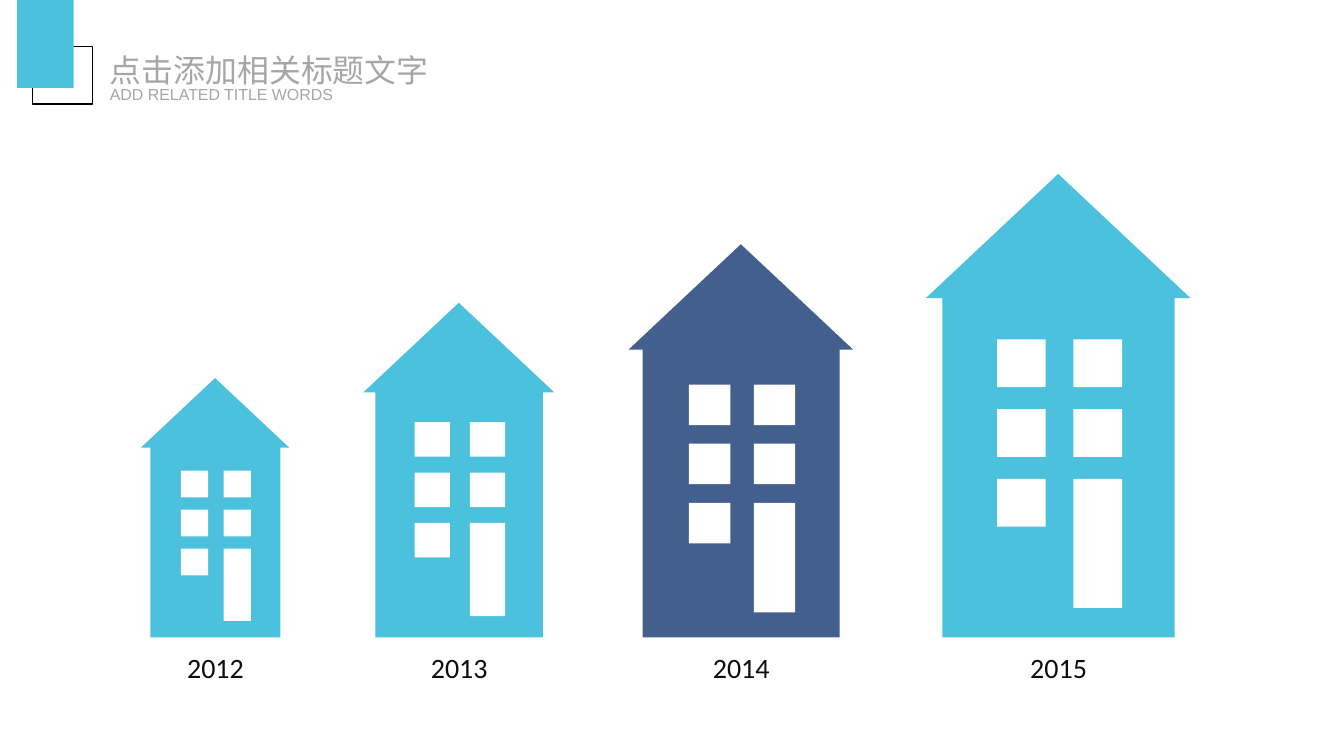
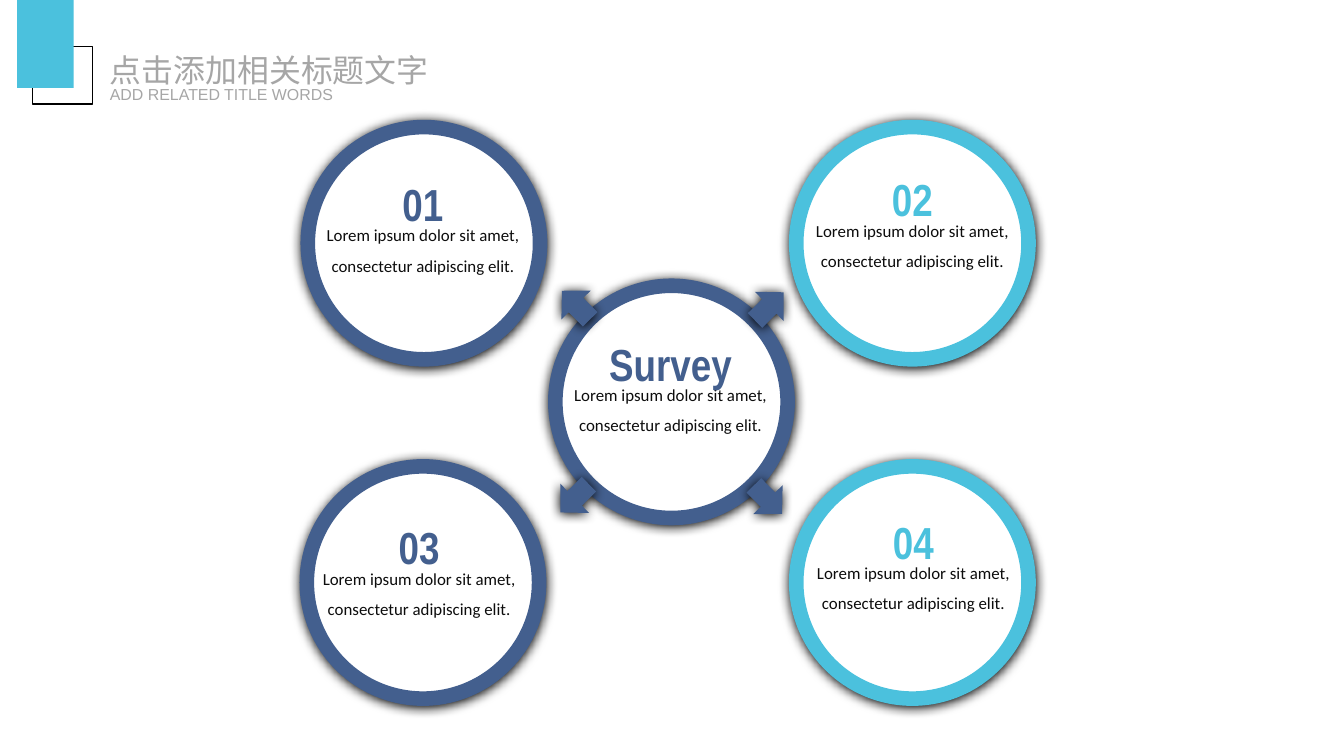
"""Build two slides: a row of growing houses and a survey hub with four circles."""
import math
from dataclasses import dataclass

from pptx import Presentation
from pptx.dml.color import RGBColor
from pptx.enum import shapes, text
from pptx.oxml.ns import qn
from pptx.shapes.autoshape import Shape
from pptx.slide import Slide
from pptx.util import Inches, Pt
from lxml import etree

COLORS = {"sky": "4BC1DD", "navy": "435F8E", "white": "FFFFFF",
          "ink": "0D0D0D", "gray": "A6A6A6", "black": "000000"}
KIND = shapes.MSO_SHAPE
LOREM = "Lorem ipsum dolor sit amet, consectetur adipiscing elit."
GROUND = 6.67
FULL_ROOF_WIDTH = 2.77
CIRCLE_SIZE = 2.43


@dataclass(frozen=True)
class Box:
    left: float
    top: float
    width: float
    height: float

    def lengths(self) -> tuple[int, int, int, int]:
        return (Inches(self.left), Inches(self.top),
                Inches(self.width), Inches(self.height))


@dataclass(frozen=True)
class TextStyle:
    font: str
    size: float
    color: str
    bold: bool = False
    spacing: float = 1.0
    align: text.PP_ALIGN = text.PP_ALIGN.LEFT


@dataclass(frozen=True)
class House:
    year: str
    axis: float
    roof_width: float
    color: str


@dataclass(frozen=True)
class Topic:
    heading: str
    left: float
    top: float
    text_left: float
    text_top: float
    color: str


CENTER = text.PP_ALIGN.CENTER
TITLE = TextStyle("Noto Sans CJK SC", 24, "gray")
SUBTITLE = TextStyle("Arial", 12, "gray")
YEAR = TextStyle("Calibri", 21.1, "ink", spacing=1.5, align=CENTER)
BODY = TextStyle("Calibri", 12.7, "ink", spacing=1.5, align=CENTER)

HOUSES = [
    House("2012", 2.25, 1.55, "sky"),
    House("2013", 4.80, 2.00, "sky"),
    House("2014", 7.75, 2.35, "navy"),
    House("2015", 11.07, 2.77, "sky"),
]
TOPICS = [
    Topic("04", 8.33, 4.88, 8.34, 5.73, "sky"),
    Topic("03", 3.21, 4.88, 3.17, 5.79, "navy"),
    Topic("02", 8.33, 1.33, 8.33, 2.15, "sky"),
    Topic("01", 3.22, 1.33, 3.21, 2.20, "navy"),
]
SURVEY = Topic("Survey", 5.81, 2.99, 5.80, 3.87, "navy")


def rgb(name: str) -> RGBColor:
    """Return a palette colour."""
    return RGBColor.from_string(COLORS[name])


def add_figure(slide: Slide, kind: shapes.MSO_SHAPE, box: Box, fill: str | None,
               line: str | None = None, line_width: float = 1) -> Shape:
    """Add a preset shape with the given fill and outline."""
    figure = slide.shapes.add_shape(kind, *box.lengths())
    if fill:
        figure.fill.solid()
        figure.fill.fore_color.rgb = rgb(fill)
    else:
        figure.fill.background()
    if line:
        figure.line.color.rgb = rgb(line)
        figure.line.width = Pt(line_width)
    else:
        figure.line.fill.background()
    figure.shadow.inherit = False
    return figure


def cast_shadow(figure: Shape) -> None:
    """Give a shape a soft black shadow below it."""
    effects = figure._element.spPr.find(qn("a:effectLst"))
    shadow = etree.SubElement(effects, qn("a:outerShdw"), blurRad=str(Pt(8.5)),
                              dist=str(Pt(1)), dir="5400000", algn="t", rotWithShape="0")
    etree.SubElement(shadow, qn("a:srgbClr"), val=COLORS["black"])


def write(holder: Shape, words: str, style: TextStyle) -> None:
    """Put one styled paragraph into a text holder."""
    frame = holder.text_frame
    frame.word_wrap = True
    frame.vertical_anchor = text.MSO_ANCHOR.TOP
    paragraph = frame.paragraphs[0]
    paragraph.text = words
    paragraph.alignment = style.align
    paragraph.line_spacing = style.spacing
    font = paragraph.font
    font.name, font.size, font.bold = style.font, Pt(style.size), style.bold
    font.color.rgb = rgb(style.color)
    east_asian = etree.Element(qn("a:ea"), typeface=style.font)
    font._element.find(qn("a:latin")).addnext(east_asian)


def add_label(slide: Slide, box: Box, words: str, style: TextStyle) -> Shape:
    """Add a text box holding one styled paragraph."""
    label = slide.shapes.add_textbox(*box.lengths())
    write(label, words, style)
    return label


def trim(holder: Shape) -> None:
    """Remove the insets and wrapping of a text holder."""
    frame = holder.text_frame
    frame.margin_left = frame.margin_right = frame.margin_top = frame.margin_bottom = 0
    frame.word_wrap = False
    frame.auto_size = text.MSO_AUTO_SIZE.NONE


def add_titled_slide(deck: Presentation) -> Slide:
    """Add a slide with the shared corner mark, title and subtitle."""
    slide = deck.slides.add_slide(deck.slide_layouts[5])
    add_figure(slide, KIND.RECTANGLE, Box(0.34, 0.49, 0.63, 0.6), None, "black")
    add_figure(slide, KIND.RECTANGLE, Box(0.18, 0, 0.59, 0.92), "sky")
    title = slide.shapes.title
    title.left, title.top, title.width, title.height = Box(1.15, 0.53, 3.37, 0.4).lengths()
    write(title, "点击添加相关标题文字", TITLE)
    trim(title)
    trim(add_label(slide, Box(1.15, 0.89, 2.36, 0.2), "ADD RELATED TITLE WORDS", SUBTITLE))
    return slide


def draw_house(slide: Slide, house: House) -> None:
    """Draw a house scaled by its roof width, standing on the ground line."""
    scale = house.roof_width / FULL_ROOF_WIDTH

    def place(offset: float, rise: float, width: float, height: float) -> Box:
        """Scale a part measured from the axis and the ground."""
        return Box(house.axis + offset * scale, GROUND - rise * scale,
                   width * scale, height * scale)

    add_figure(slide, KIND.RECTANGLE, place(-1.21, 3.6, 2.43, 3.6), house.color)
    add_figure(slide, KIND.ISOSCELES_TRIANGLE,
               place(-FULL_ROOF_WIDTH / 2, 4.85, FULL_ROOF_WIDTH, 1.3), house.color)
    for row in range(3):
        for column in range(2):
            is_door = row == 0 and column == 1
            opening = place(-0.64 + 0.8 * column, 1.66 + 0.73 * row,
                            0.51, 1.35 if is_door else 0.5)
            add_figure(slide, KIND.RECTANGLE, opening, "white")
    add_label(slide, Box(house.axis - 1.08, 6.58, 2.17, 0.63), house.year, YEAR)


def draw_ring(slide: Slide, topic: Topic) -> None:
    """Draw the shadowed circle of a topic."""
    cast_shadow(add_figure(slide, KIND.OVAL,
                           Box(topic.left, topic.top, CIRCLE_SIZE, CIRCLE_SIZE),
                           "white", topic.color, 11))


def draw_words(slide: Slide, topic: Topic) -> None:
    """Write the body and heading of a topic."""
    heading = TextStyle("Arial Narrow", 33.8, topic.color, True, 1.5, CENTER)
    add_label(slide, Box(topic.text_left, topic.text_top, CIRCLE_SIZE, 0.74), LOREM, BODY)
    add_label(slide, Box(topic.text_left, topic.text_top - 0.68, CIRCLE_SIZE, 0.95),
              topic.heading, heading)


def draw_arrows(slide: Slide) -> None:
    """Draw four arrows pointing outwards from the survey circle."""
    width, height, reach = 0.42, 0.43, 1.43
    for angle in (315.4, 225.4, 45.4, 135.4):
        turn = math.radians(angle)
        box = Box(7.03 + reach * math.cos(turn) - width / 2,
                  4.21 + reach * math.sin(turn) - height / 2, width, height)
        arrow = add_figure(slide, KIND.RIGHT_ARROW, box, "navy")
        arrow.rotation = angle
        cast_shadow(arrow)


def main() -> None:
    """Build and save the presentation."""
    deck = Presentation()
    deck.slide_width, deck.slide_height = Inches(14.06), Inches(7.91)

    growth = add_titled_slide(deck)
    for house in HOUSES:
        draw_house(growth, house)

    survey = add_titled_slide(deck)
    for topic in TOPICS:
        draw_ring(survey, topic)
        draw_words(survey, topic)
    draw_ring(survey, SURVEY)
    draw_arrows(survey)
    draw_words(survey, SURVEY)

    deck.save("out.pptx")


main()
